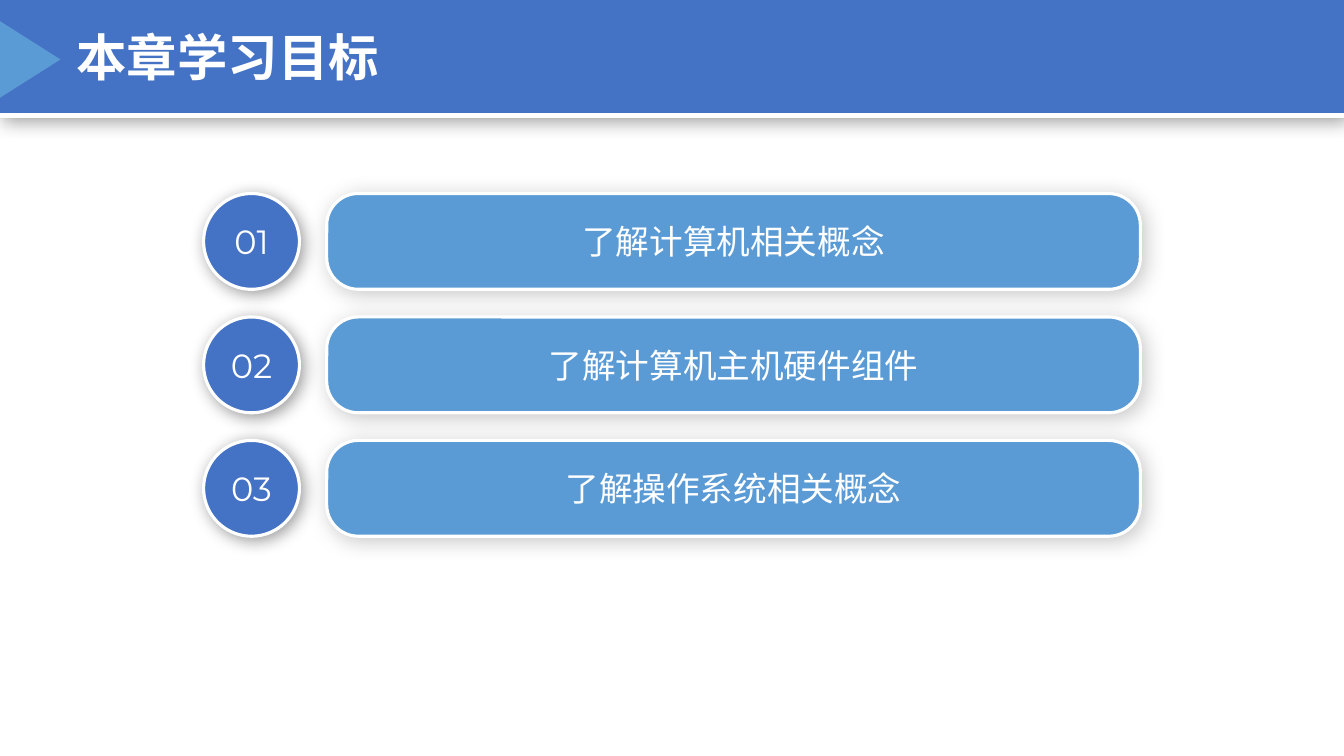
from dataclasses import dataclass

from lxml.etree import SubElement
from pptx import Presentation
from pptx.dml.color import RGBColor
from pptx.enum.shapes import MSO_SHAPE as Preset
from pptx.enum.text import MSO_ANCHOR as Anchor, MSO_AUTO_SIZE as AutoSize, PP_ALIGN as Align
from pptx.oxml.ns import qn
from pptx.util import Inches, Pt

SLIDE_WIDTH = Inches(13.33)
SLIDE_HEIGHT = Inches(7.5)
GOALS = ["了解计算机相关概念", "了解计算机主机硬件组件", "了解操作系统相关概念"]


@dataclass(frozen=True)
class Theme:
    white: str = "FFFFFF"
    shadow: str = "000000"
    primary: str = "4472C4"
    accent: str = "5B9BD5"
    title_size: int = 36
    body_size: int = 24
    outline: float = 2.25
    number_font: str = "Montserrat"
    text_font: str = "Noto Sans CJK SC"


THEME = Theme()


def area(left, top, width, height):
    """Turn percentages of the slide into lengths."""
    return (
        int(SLIDE_WIDTH * left / 100),
        int(SLIDE_HEIGHT * top / 100),
        int(SLIDE_WIDTH * width / 100),
        int(SLIDE_HEIGHT * height / 100),
    )


def goal_row(index):
    return 25.6 + index * 16.33


def write_text(shape, text, size=THEME.body_size, font=THEME.text_font,
               bold=False, align=Align.CENTER, anchor=Anchor.MIDDLE):
    frame = shape.text_frame
    frame.word_wrap = True
    frame.vertical_anchor = anchor
    paragraph = frame.paragraphs[0]
    paragraph.alignment = align
    run = paragraph.add_run()
    run.text = text
    run.font.size = Pt(size)
    run.font.bold = bold
    run.font.color.rgb = RGBColor.from_string(THEME.white)
    run.font.name = font
    SubElement(run.font._element, qn("a:ea"), typeface=font)


def cast_shadow(shape, opacity, blur):
    effects = shape._element.spPr.find(qn("a:effectLst"))
    shadow = SubElement(
        effects, qn("a:outerShdw"), blurRad=str(Pt(blur)), dist=str(Pt(3)),
        dir=str(45 * 60000), algn="tl", rotWithShape="0",
    )
    color = SubElement(shadow, qn("a:srgbClr"), val=THEME.shadow)
    SubElement(color, qn("a:alpha"), val=str(opacity * 1000))


def add_block(slide, preset, bounds, fill, outlined=False, shadow=None):
    shape = slide.shapes.add_shape(preset, *bounds)
    shape.fill.solid()
    shape.fill.fore_color.rgb = RGBColor.from_string(fill)
    if outlined:
        shape.line.color.rgb = RGBColor.from_string(THEME.white)
        shape.line.width = Pt(THEME.outline)
    else:
        shape.line.fill.background()
    shape.shadow.inherit = False
    if shadow:
        cast_shadow(shape, *shadow)
    return shape


def add_header(slide, title):
    add_block(slide, Preset.RECTANGLE, area(0, 0.67, 100, 14.93), THEME.white, shadow=(40, 13))
    add_block(slide, Preset.RECTANGLE, area(0, 0, 100, 14.93), THEME.primary)
    box = slide.shapes.add_textbox(*area(4.95, 2.8, 34.65, 9.47))
    write_text(box, title, size=THEME.title_size, bold=True, align=Align.LEFT, anchor=Anchor.TOP)
    box.text_frame.auto_size = AutoSize.SHAPE_TO_FIT_TEXT
    pointer = add_block(slide, Preset.ISOSCELES_TRIANGLE, area(-0.6, 3.87, 5.7, 8), THEME.accent)
    pointer.rotation = 90


def add_number(slide, index):
    circle = add_block(slide, Preset.OVAL, area(15.15, goal_row(index), 7.13, 12.67),
                       THEME.primary, outlined=True, shadow=(40, 12))
    write_text(circle, f"{index + 1:02}", font=THEME.number_font)


def add_goal(slide, index, text):
    bar = add_block(slide, Preset.ROUNDED_RECTANGLE, area(24.31, goal_row(index), 60.54, 12.67),
                    THEME.accent, outlined=True, shadow=(21, 15))
    bar.adjustments[0] = 0.33
    write_text(bar, text)


def main():
    presentation = Presentation()
    presentation.slide_width = SLIDE_WIDTH
    presentation.slide_height = SLIDE_HEIGHT
    slide = presentation.slides.add_slide(presentation.slide_layouts[6])
    add_header(slide, "本章学习目标")
    for index in range(len(GOALS)):
        add_number(slide, index)
    for index, text in enumerate(GOALS):
        add_goal(slide, index, text)
    presentation.save("out.pptx")


if __name__ == "__main__":
    main()
